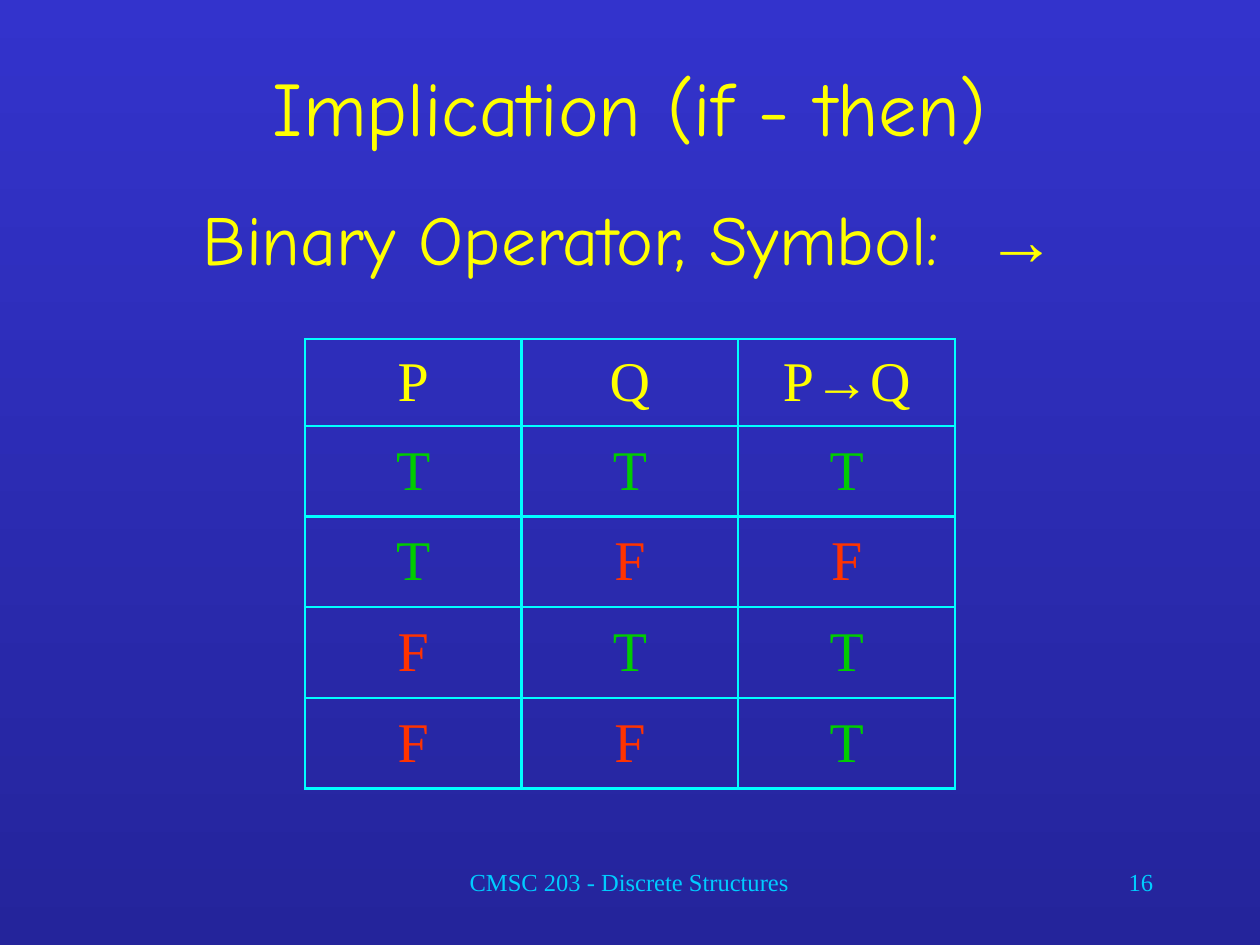
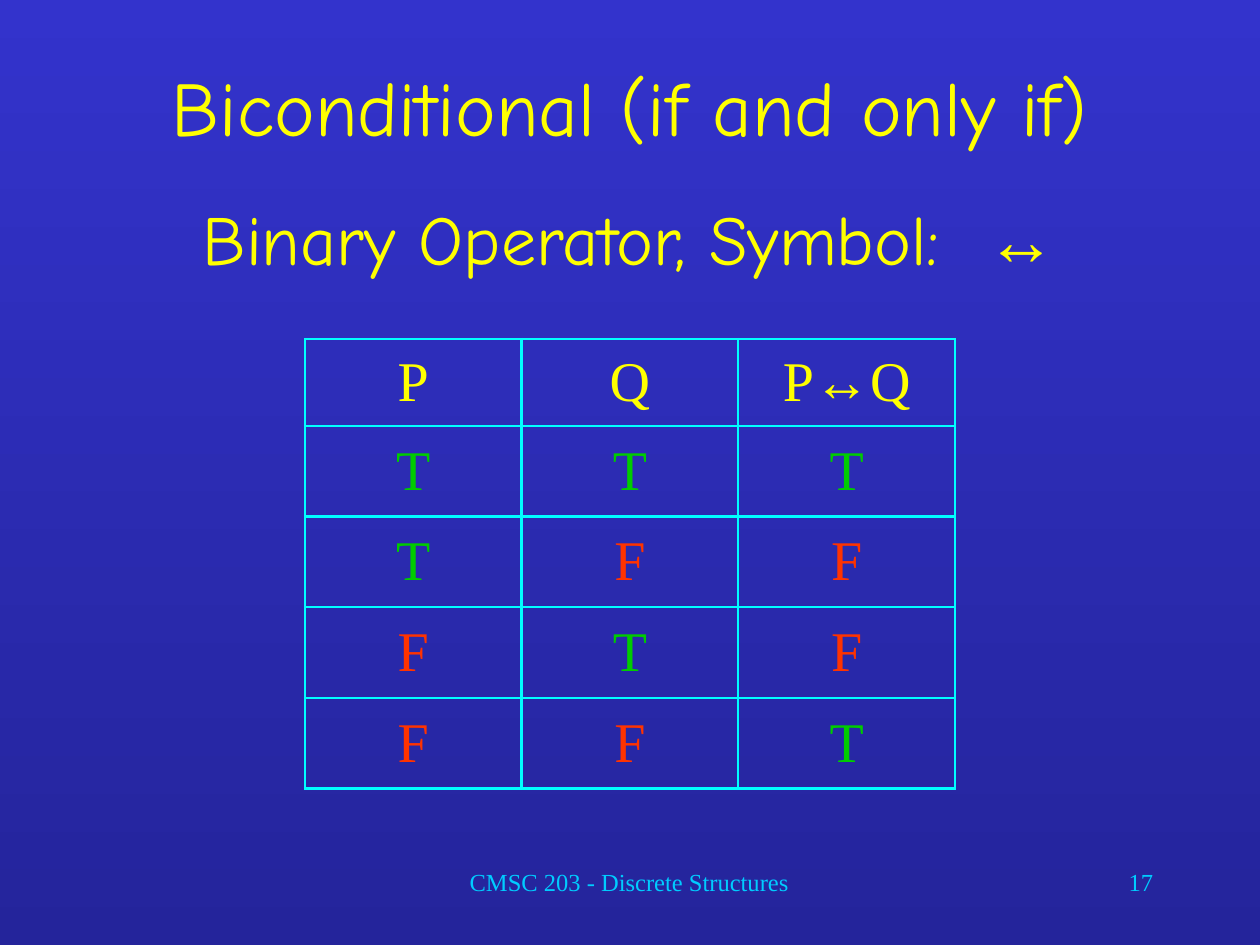
from dataclasses import dataclass
from itertools import product

from lxml.etree import SubElement
from pptx import Presentation
from pptx.dml.color import RGBColor
from pptx.enum.text import MSO_ANCHOR, PP_ALIGN
from pptx.oxml.ns import qn
from pptx.util import Inches, Pt


@dataclass(frozen=True)
class Theme:
    bg_top: str = "3333CC"
    bg_bottom: str = "24249B"
    heading: str = "FFFF00"
    footer: str = "00CCFF"
    border: str = "00FFFF"
    true: str = "00CC00"
    false: str = "FF3300"
    display_font: str = "Comic Neue"
    text_font: str = "Times New Roman"
    symbol_font: str = "Arial"
    title_size: int = 44
    body_size: int = 40
    table_size: int = 32
    footer_size: int = 14
    border_width: float = 1.5


theme = Theme()


def write(tf, parts, font, size, color, align=PP_ALIGN.CENTER):
    """Fill one paragraph; arrow symbols take the bold symbol font."""
    p = tf.paragraphs[0]
    p.alignment = align
    for part in parts:
        r = p.add_run()
        r.text = part
        is_symbol = part in ("→", "↔")
        r.font.name = theme.symbol_font if is_symbol else font
        r.font.bold = is_symbol
        r.font.size = Pt(size)
        r.font.color.rgb = RGBColor.from_string(color)


def add_text(slide, box, parts, *style):
    sp = slide.shapes.add_textbox(*[Inches(v) for v in box])
    sp.text_frame.word_wrap = True
    write(sp.text_frame, parts, *style)


# Title, symbol, truth function and page number of each operator
operators = [
    ("Implication (if - then)", "→", lambda p, q: not p or q, 16),
    ("Biconditional (if and only if)", "↔", lambda p, q: p == q, 17),
]

prs = Presentation()
prs.slide_width, prs.slide_height = Inches(10), Inches(7.5)

for title, symbol, holds, number in operators:
    slide = prs.slides.add_slide(prs.slide_layouts[6])

    # Background
    fill = slide.background.fill
    fill.gradient()
    fill.gradient_angle = 270
    for stop, color in zip(fill.gradient_stops, (theme.bg_top, theme.bg_bottom)):
        stop.color.rgb = RGBColor.from_string(color)

    # Headings
    add_text(slide, (0.75, 0.42, 8.5, 0.75), [title],
             theme.display_font, theme.title_size, theme.heading)
    add_text(slide, (0.58, 1.5, 8.83, 0.92), ["Binary Operator, Symbol:  ", symbol],
             theme.display_font, theme.body_size, theme.heading)

    # Truth table
    rows = [["P", "Q", ("P", symbol, "Q")]]
    for p, q in product((True, False), repeat=2):
        rows.append(["T" if value else "F" for value in (p, q, holds(p, q))])
    table = slide.shapes.add_table(len(rows), 3, Inches(2.42), Inches(2.69),
                                   Inches(5.17), Inches(3.57)).table
    table.first_row = table.horz_banding = False
    for column in table.columns:
        column.width = Inches(1.72)
    for i, row in enumerate(rows):
        table.rows[i].height = Inches(0.72 if i else 0.69)
        for j, parts in enumerate(row):
            cell = table.cell(i, j)
            cell.vertical_anchor = MSO_ANCHOR.MIDDLE
            color = {"T": theme.true, "F": theme.false}.get(parts, theme.heading)
            write(cell.text_frame, parts, theme.text_font, theme.table_size, color)
            # Borders come before the fill in the cell properties
            tc_pr = cell._tc.get_or_add_tcPr()
            for side in ("a:lnL", "a:lnR", "a:lnT", "a:lnB"):
                ln = SubElement(tc_pr, qn(side), w=str(Pt(theme.border_width)))
                solid = SubElement(ln, qn("a:solidFill"))
                SubElement(solid, qn("a:srgbClr"), val=theme.border)
            cell.fill.background()

    # Footer
    footer_style = theme.text_font, theme.footer_size, theme.footer
    add_text(slide, (2.83, 6.83, 4.33, 0.5), ["CMSC 203 - Discrete Structures"],
             *footer_style)
    add_text(slide, (7.17, 6.83, 2.08, 0.5), [str(number)],
             *footer_style, PP_ALIGN.RIGHT)

prs.save("out.pptx")
